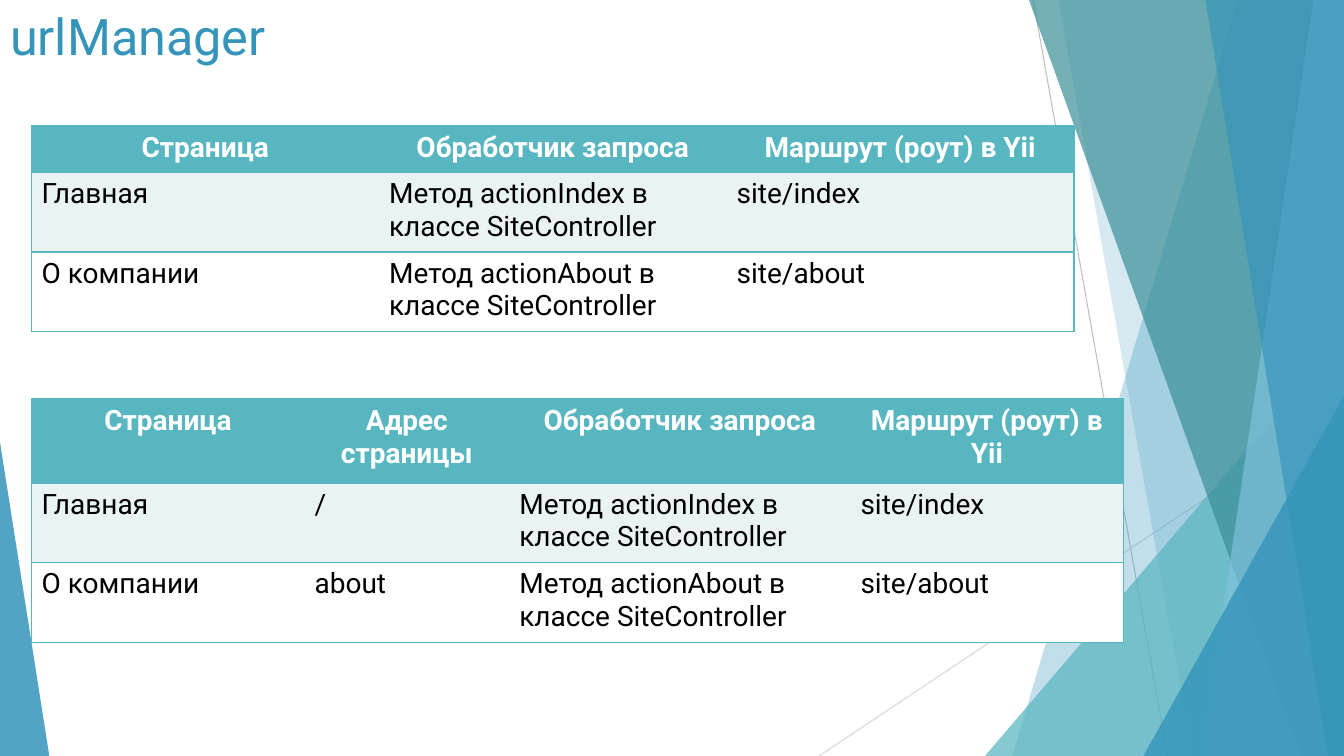
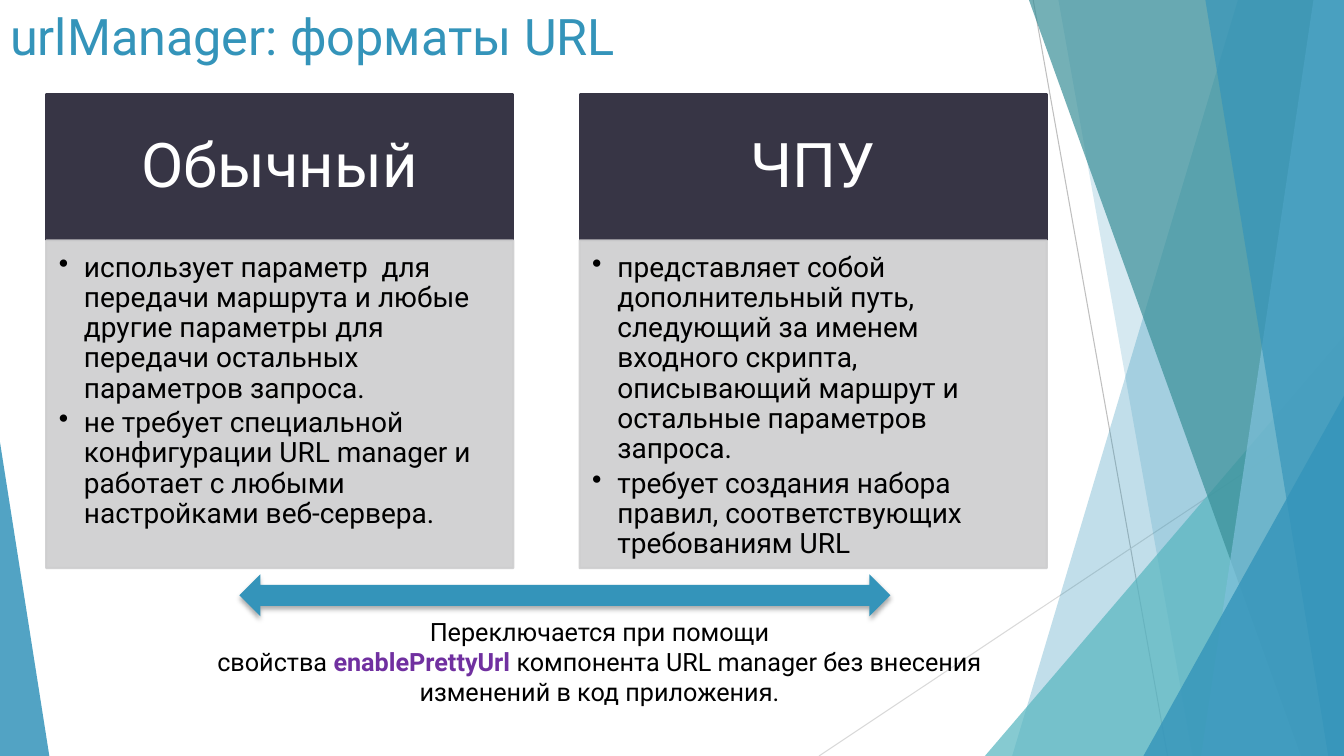
import pptx
import pptx.util
import pptx.dml.color
import pptx.enum.shapes
import pptx.enum.text
import pptx.oxml
import pptx.oxml.ns
import lxml.etree

PX = 9525
SLIDE_W, SLIDE_H = 1280, 720
FONT = "Roboto"
NBSP = chr(160)
BLUE, TEAL, DARK_TEAL, SKY = "3494BA", "58B6C0", "3A8F98", "7FC1DB"
DARK, GREY, PALE, PURPLE = "373545", "CECECF", "EAF3F4", "7030A0"
WHITE, BLACK = "FFFFFF", "000000"
SHAPE = pptx.enum.shapes.MSO_SHAPE
ALIGN = pptx.enum.text.PP_ALIGN
ANCHOR = pptx.enum.text.MSO_ANCHOR

RAYS = [((984, 0), (1112, 720), "BFBFBF"), ((1280, 387), (780, 720), "D9D9D9")]
FACETS = [
    ("band", (1179, 964), BLUE, 30),
    ("band", (1008, 1136), BLUE, 20),
    ("triangle", (938, 320, 342, 400, 1), TEAL, 72),
    ("band", (980, 1239), DARK_TEAL, 70),
    ("band", (1251, 1144), SKY, 70),
    ("band", (1148, 1265), BLUE, 65),
    ("triangle", (1089, 377, 191, 343, 1), BLUE, 80),
    ("triangle", (0, 421, 47, 299, 0), BLUE, 85),
]

ROUTES = [
    ["Страница", "Обработчик запроса", "Маршрут (роут) в Yii"],
    ["Главная", "Метод actionIndex в классе SiteController", "site/index"],
    ["О компании", "Метод actionAbout в классе SiteController", "site/about"],
]
ADDRESSES = ["Адрес страницы", "/", "about"]
FORMATS = [
    ("Обычный", [
        f"использует параметр{NBSP}{NBSP}для передачи маршрута и любые другие "
        "параметры для передачи остальных параметров запроса.",
        f"не требует специальной конфигурации{NBSP}URL manager{NBSP}и работает "
        "с любыми настройками веб-сервера.",
    ]),
    ("ЧПУ", [
        "представляет собой дополнительный путь, следующий за именем входного "
        "скрипта, описывающий маршрут и остальные параметров запроса.",
        "требует создания набора правил, соответствующих требованиям URL",
    ]),
]
SWITCH_NOTE = [
    (f"Переключается при помощи свойства{NBSP}", BLACK, False),
    (f"enablePrettyUrl{NBSP}", PURPLE, True),
    (f"компонента{NBSP}URL manager{NBSP}без внесения изменений в код приложения.",
     BLACK, False),
]


def px(*lengths):
    return [pptx.util.Emu(length * PX) for length in lengths]


def color(hex_code):
    return pptx.dml.color.RGBColor.from_string(hex_code)


def add_xml(parent, tag, **attributes):
    return lxml.etree.SubElement(parent, pptx.oxml.ns.qn(tag), attributes)


def style_run(run, size, hex_code, bold=False):
    run.font.name = FONT
    run.font.size = pptx.util.Pt(size)
    run.font.bold = bold
    run.font.color.rgb = color(hex_code)


def style_shape(shape, fill, line=None, opacity=100):
    shape.shadow.inherit = False
    shape.fill.solid()
    shape.fill.fore_color.rgb = color(fill)
    if line:
        shape.line.color.rgb = color(line)
        shape.line.width = pptx.util.Pt(1.5)
    else:
        shape.line.fill.background()
    if opacity < 100:
        for tint in shape._element.spPr.iter(pptx.oxml.ns.qn("a:srgbClr")):
            add_xml(tint, "a:alpha", val=str(opacity * 1000))


def set_margins(frame, left, top, right, bottom):
    (frame.margin_left, frame.margin_top,
     frame.margin_right, frame.margin_bottom) = px(left, top, right, bottom)


def add_ray(slide, start, end, hex_code):
    ray = slide.shapes.add_connector(
        pptx.enum.shapes.MSO_CONNECTOR.STRAIGHT, *px(*start, *end))
    ray.line.color.rgb = color(hex_code)
    ray.line.width = pptx.util.Pt(0.75)
    add_xml(ray._element.spPr, "a:effectLst")


def add_band(slide, top_x, bottom_x):
    outline = slide.shapes.build_freeform(top_x, 0, scale=PX)
    outline.add_line_segments(
        [(SLIDE_W, 0), (SLIDE_W, SLIDE_H), (bottom_x, SLIDE_H)], close=True)
    return outline.convert_to_shape()


def add_triangle(slide, left, top, width, height, apex):
    triangle = slide.shapes.add_shape(
        SHAPE.ISOSCELES_TRIANGLE, *px(left, top, width, height))
    triangle.adjustments[0] = apex
    return triangle


def decorate_layout(layout, slide):
    for ray in RAYS:
        add_ray(slide, *ray)
    for kind, geometry, fill, opacity in FACETS:
        add_facet = add_band if kind == "band" else add_triangle
        style_shape(add_facet(slide, *geometry), fill, opacity=opacity)
    decor = [shape for shape in slide.shapes if not shape.is_placeholder]
    for index, shape in enumerate(decor):
        shape._element.xpath(".//p:cNvPr")[0].set("id", str(100 + index))
        layout.shapes._spTree.insert(2 + index, shape._element)


def add_titled_slide(deck, layout, heading):
    slide = deck.slides.add_slide(layout)
    title = slide.shapes.title
    title.left, title.top, title.width, title.height = px(0, 0, 902, 138)
    frame = title.text_frame
    frame.text = heading
    frame.vertical_anchor = ANCHOR.TOP
    frame.paragraphs[0].alignment = ALIGN.LEFT
    style_run(frame.paragraphs[0].runs[0], 36, BLUE)
    return slide


def set_borders(cell, first, last):
    properties = cell._tc.get_or_add_tcPr()
    visible = {"a:lnL": first, "a:lnR": last, "a:lnT": True, "a:lnB": True}
    for tag, shown in visible.items():
        border = add_xml(properties, tag, w="12700")
        if shown:
            add_xml(add_xml(border, "a:solidFill"), "a:srgbClr", val=TEAL)
        else:
            add_xml(border, "a:noFill")


def add_route_table(slide, top, widths, heights, rows):
    table = slide.shapes.add_table(
        len(rows), len(widths),
        *px(30, top, sum(widths), sum(heights))).table
    for column, width in zip(table.columns, widths):
        column.width = width * PX
    for row, height in zip(table.rows, heights):
        row.height = height * PX
    for r, texts in enumerate(rows):
        for c, text in enumerate(texts):
            cell = table.cell(r, c)
            set_borders(cell, c == 0, c == len(texts) - 1)
            cell.fill.solid()
            cell.fill.fore_color.rgb = color([TEAL, PALE, WHITE][r])
            cell.text_frame.text = text
            paragraph = cell.text_frame.paragraphs[0]
            paragraph.alignment = ALIGN.LEFT if r else ALIGN.CENTER
            style_run(paragraph.runs[0], 20, BLACK if r else WHITE, bold=r == 0)


def add_panel(slide, left, top, height, fill, opacity=100):
    panel = slide.shapes.add_shape(
        SHAPE.RECTANGLE, *px(left, top, 445, height))
    style_shape(panel, fill, fill, opacity)
    panel.text_frame.word_wrap = True
    return panel.text_frame


def add_format_column(slide, left, name, points):
    header = add_panel(slide, left, 90, 139, DARK)
    set_margins(header, 33, 19, 33, 19)
    header.vertical_anchor = ANCHOR.MIDDLE
    header.text = name
    header.paragraphs[0].alignment = ALIGN.CENTER
    header.paragraphs[0].line_spacing = 0.9
    style_run(header.paragraphs[0].runs[0], 44, WHITE)

    body = add_panel(slide, left, 229, 312, GREY, 90)
    set_margins(body, 12, 12, 16, 16)
    body.vertical_anchor = ANCHOR.TOP
    body.text = "\n".join(points)
    for paragraph in body.paragraphs:
        paragraph.alignment = ALIGN.LEFT
        paragraph.line_spacing = 0.9
        paragraph.space_after = pptx.util.Pt(3)
        properties = paragraph._p.get_or_add_pPr()
        properties.set("marL", str(24 * PX))
        properties.set("indent", str(-24 * PX))
        add_xml(properties, "a:buChar", char="•")
        style_run(paragraph.runs[0], 20, BLACK)


def add_switch_arrow(slide):
    arrow = slide.shapes.add_shape(
        SHAPE.LEFT_RIGHT_ARROW, *px(228, 547, 620, 40))
    style_shape(arrow, BLUE)
    effects = arrow._element.spPr.find(pptx.oxml.ns.qn("a:effectLst"))
    shadow = add_xml(effects, "a:outerShdw", blurRad="44450", dist="27940",
                     dir="5400000", rotWithShape="0")
    add_xml(add_xml(shadow, "a:srgbClr", val=BLACK), "a:alpha", val="32000")


def add_switch_note(slide):
    frame = slide.shapes.add_textbox(*px(187, 582, 768, 97)).text_frame
    frame.word_wrap = True
    paragraph = frame.paragraphs[0]
    paragraph.alignment = ALIGN.CENTER
    for text, hex_code, bold in SWITCH_NOTE:
        run = paragraph.add_run()
        run.text = text
        style_run(run, 18, hex_code, bold)


def main():
    deck = pptx.Presentation()
    deck.slide_width, deck.slide_height = px(SLIDE_W, SLIDE_H)
    layout = deck.slide_layouts[5]

    routes = add_titled_slide(deck, layout, "urlManager")
    decorate_layout(layout, routes)
    add_route_table(routes, 120, [331] * 3, [44, 76, 76], ROUTES)
    addressed = [[page, address, *route]
                 for (page, *route), address in zip(ROUTES, ADDRESSES)]
    add_route_table(routes, 380, [260, 195, 325, 260], [80, 76, 76], addressed)

    formats = add_titled_slide(deck, layout, "urlManager: форматы URL")
    for index, (name, points) in enumerate(FORMATS):
        add_format_column(formats, 44 + index * 508, name, points)
    add_switch_arrow(formats)
    add_switch_note(formats)

    deck.save("out.pptx")


if __name__ == "__main__":
    main()
